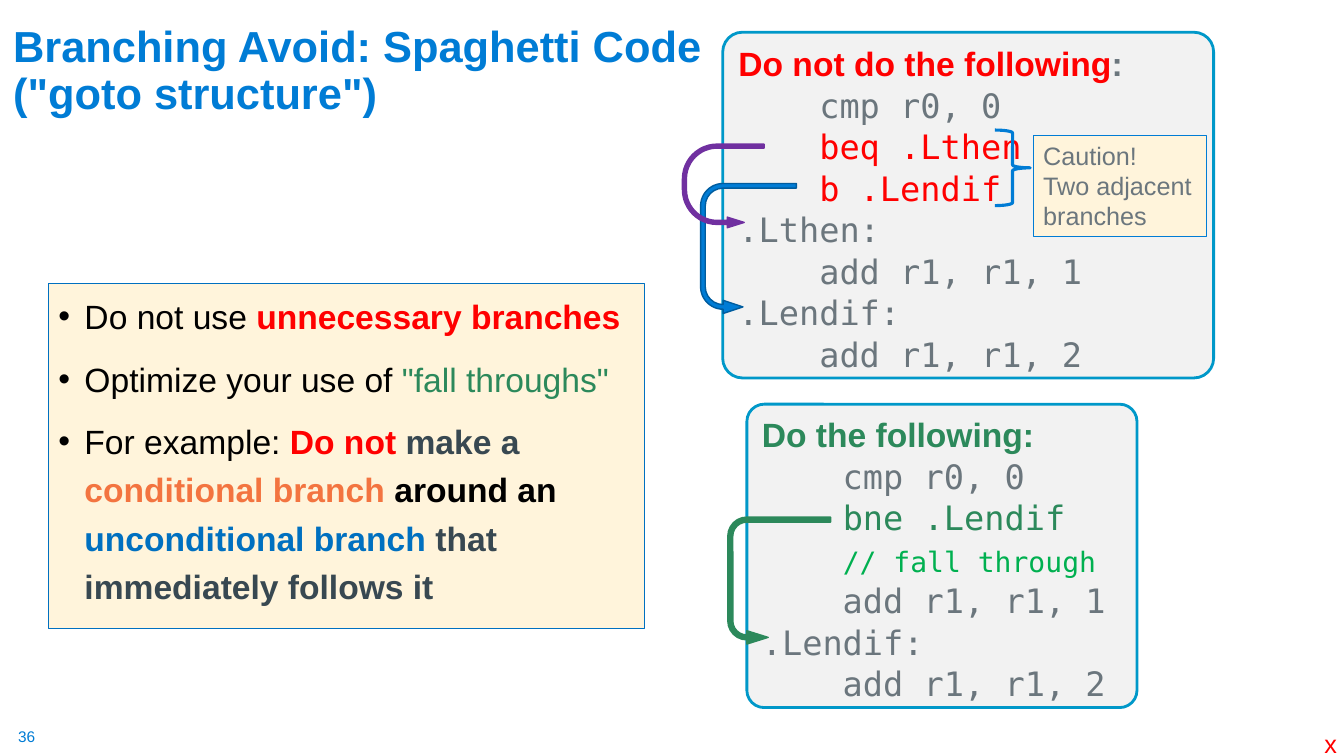
from dataclasses import dataclass

from lxml import etree
from pptx import Presentation
from pptx.dml.color import RGBColor
from pptx.enum.shapes import MSO_SHAPE
from pptx.enum.text import MSO_ANCHOR, MSO_AUTO_SIZE, PP_ALIGN
from pptx.oxml.ns import qn
from pptx.util import Inches, Pt

RECTANGLE = MSO_SHAPE.RECTANGLE
ROUNDED = MSO_SHAPE.ROUNDED_RECTANGLE
U_TURN = MSO_SHAPE.U_TURN_ARROW
BRACE = MSO_SHAPE.RIGHT_BRACE
TOP, BOTTOM = MSO_ANCHOR.TOP, MSO_ANCHOR.BOTTOM
LEFT = PP_ALIGN.LEFT
FIXED = MSO_AUTO_SIZE.NONE

CELL = Inches(0.1)
COLUMNS, ROWS = 133.33, 75
SANS, MONO = "Arial", "DejaVu Sans Mono"
INDENT = "    "
COLORS = {
    "black": "000000", "red": "FF0000", "green": "2C895B", "comment": "00B050",
    "gray": "6B767D", "slate": "384851", "orange": "F37440", "blue": "0070C0",
    "sky": "007CD5", "navy": "005C9E", "purple": "7030A0", "teal": "0098C9",
    "cream": "FFF4DB", "panel": "F2F2F2",
}


@dataclass(frozen=True)
class Area:
    column: float
    row: float
    columns: float
    rows: float


@dataclass(frozen=True)
class Span:
    text: str
    color: str
    size: float = 24
    bold: bool = False
    font: str = SANS


@dataclass(frozen=True)
class Style:
    fill: str | None
    line: str
    width: float


@dataclass(frozen=True)
class Jump:
    area: Area
    fill: str
    line: str
    head: float
    length: float
    bend: float = 0.425


Line = list[Span]


def place(shape, area: Area) -> None:
    shape.left, shape.top = int(area.column * CELL), int(area.row * CELL)
    shape.width, shape.height = int(area.columns * CELL), int(area.rows * CELL)


def color(name: str) -> RGBColor:
    return RGBColor.from_string(COLORS[name])


def add_span(para, span: Span) -> None:
    run = para.add_run()
    run.text = span.text
    run.font.name = span.font
    run.font.size = Pt(span.size)
    run.font.bold = span.bold
    run.font.color.rgb = color(span.color)


def write(frame, lines: list[Line], wrap: bool = True) -> None:
    frame.word_wrap = wrap
    frame.auto_size = FIXED
    frame.vertical_anchor = TOP
    for index, line in enumerate(lines):
        para = frame.paragraphs[0] if index == 0 else frame.add_paragraph()
        para.alignment = LEFT
        for span in line:
            add_span(para, span)


def add_label(page, area: Area, span: Span, margin: float) -> None:
    box = page.shapes.add_textbox(0, 0, 0, 0)
    place(box, area)
    frame = box.text_frame
    frame.margin_left = frame.margin_right = Inches(margin)
    frame.margin_top = frame.margin_bottom = Inches(margin / 2)
    write(frame, [[span]], wrap=False)


def add_figure(page, kind, area: Area, style: Style):
    shape = page.shapes.add_shape(kind, 0, 0, 0, 0)
    place(shape, area)
    shape.shadow.inherit = False
    if style.fill:
        shape.fill.solid()
        shape.fill.fore_color.rgb = color(style.fill)
    else:
        shape.fill.background()
    shape.line.color.rgb = color(style.line)
    shape.line.width = Pt(style.width)
    return shape


def add_title(page, lines: list[Span]) -> None:
    title = page.shapes.title
    place(title, Area(0.3, 6.3, 115, 6))
    frame = title.text_frame
    para = frame.paragraphs[0]
    for index, span in enumerate(lines):
        if index:
            para.add_line_break()
        add_span(para, span)
    para.alignment = LEFT
    para.line_spacing = 0.9
    frame.word_wrap = True
    frame.auto_size = FIXED
    frame.vertical_anchor = BOTTOM


def add_advice(page, area: Area, lines: list[Line]) -> None:
    box = add_figure(page, RECTANGLE, area, Style("cream", "blue", 0.75))
    write(box.text_frame, lines)
    for index, para in enumerate(box.text_frame.paragraphs):
        para.line_spacing = 1.2
        para.space_before = Pt(10 if index else 0)
        settings = para._p.get_or_add_pPr()
        settings.set("marL", str(Inches(0.26)))
        settings.set("indent", str(-Inches(0.26)))
        etree.SubElement(settings, qn("a:buFont")).set("typeface", SANS)
        etree.SubElement(settings, qn("a:buChar")).set("char", "•")


def add_code(page, area: Area, lines: list[Line]) -> None:
    box = add_figure(page, ROUNDED, area, Style("panel", "teal", 2))
    box.adjustments[0] = 0.057
    write(box.text_frame, lines)
    for para in box.text_frame.paragraphs[1:]:
        para.line_spacing = 1.03


def add_jump(page, jump: Jump) -> None:
    arrow = add_figure(page, U_TURN, jump.area, Style(jump.fill, jump.line, 1))
    arrow.rotation = 90
    arrow._element.spPr.find(qn("a:xfrm")).set("flipV", "1")
    for index, value in enumerate((0.049, jump.head, 0.208, jump.bend, jump.length)):
        arrow.adjustments[index] = value


def code(text: str, name: str = "gray", size: float = 24) -> Span:
    return Span(text, name, size, font=MONO)


def strong(text: str, name: str) -> Span:
    return Span(text, name, bold=True)


ADVICE: list[Line] = [
    [Span("Do not use ", "black"), strong("unnecessary branches", "red")],
    [Span("Optimize your use of ", "black"), Span('"fall throughs"', "green")],
    [Span("For example: ", "black"), strong("Do not ", "red"), strong("make a ", "slate"),
     strong("conditional branch ", "orange"), strong("around an ", "black"),
     strong("unconditional branch ", "blue"),
     strong("that immediately follows it", "slate")],
]
COMPARE = [code(INDENT + "cmp r0, 0")]
ADD_ONE = [code(INDENT + "add r1, r1, 1")]
END_IF: list[Line] = [[code(".Lendif:")], [code(INDENT + "add r1, r1, 2")]]
AVOID: list[Line] = [
    [strong("Do not do the following", "red"), strong(":", "gray")],
    COMPARE,
    [code(INDENT + "beq .Lthen", "red")],
    [code(INDENT + "b .Lendif", "red")],
    [code(".Lthen:")],
    ADD_ONE,
    *END_IF,
]
PREFER: list[Line] = [
    [strong("Do the following:", "green")],
    COMPARE,
    [code(INDENT), code("bne .Lendif", "green")],
    [code(INDENT, "comment"), code("// fall through", "comment", 20)],
    ADD_ONE,
    *END_IF,
]
CAUTION: list[Line] = [[Span(text, "gray", 18)] for text in ("Caution!", "Two adjacent branches")]
AVOID_JUMPS = [
    Jump(Area(67.8, 19.9, 12.9, 9.5), "sky", "navy", 0.069, 0.443),
    Jump(Area(67.6, 14.4, 8.3, 8.1), "purple", "purple", 0.065, 0.757),
]
PREFER_JUMP = Jump(Area(71, 52.5, 12.6, 10.2), "green", "green", 0.065, 0.393)


def main() -> None:
    deck = Presentation()
    deck.slide_width, deck.slide_height = int(COLUMNS * CELL), ROWS * CELL
    page = deck.slides.add_slide(deck.slide_layouts[5])
    add_label(page, Area(1.8, 72.1, 1.9, 1.9), Span("36", "sky", 11), 0)
    add_advice(page, Area(4.8, 28.1, 59.1, 34.3), ADVICE)
    add_title(page, [Span(text, "sky", 31, True)
                     for text in ("Branching Avoid: Spaghetti Code", '("goto structure")')])
    add_code(page, Area(71.7, 3.2, 48.7, 34.3), AVOID)
    add_label(page, Area(130.4, 71.8, 3.3, 4), Span("x", "red", 18), 0.1)
    for jump in AVOID_JUMPS:
        add_jump(page, jump)
    add_code(page, Area(74.1, 40.1, 38.7, 30.1), PREFER)
    add_jump(page, PREFER_JUMP)
    add_figure(page, BRACE, Area(98.7, 12.9, 3.5, 7.5), Style(None, "sky", 2.25))
    note = add_figure(page, RECTANGLE, Area(102.5, 13.4, 17.2, 10.1), Style("cream", "sky", 0.75))
    write(note.text_frame, CAUTION)
    deck.save("out.pptx")


if __name__ == "__main__":
    main()
